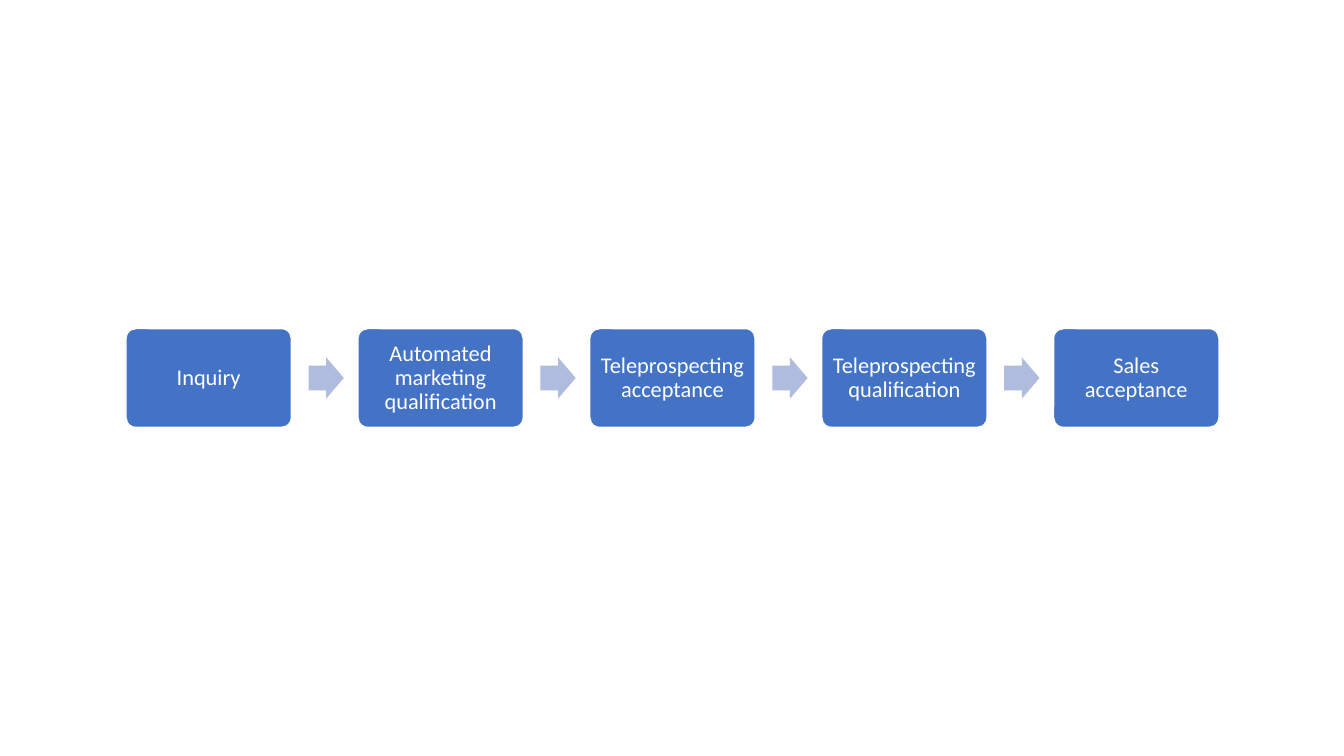
"""Build a slide with a five-step lead qualification process."""
from pptx import Presentation
from pptx.dml.color import RGBColor
from pptx.enum.shapes import MSO_SHAPE
from pptx.enum.text import MSO_ANCHOR, PP_ALIGN
from pptx.util import Inches, Pt

BLUE = RGBColor(0x44, 0x72, 0xC4)
PALE_BLUE = RGBColor(0xB0, 0xBC, 0xDE)
WHITE = RGBColor(0xFF, 0xFF, 0xFF)

STEPS = [
    "Inquiry",
    "Automated marketing qualification",
    "Teleprospecting acceptance",
    "Teleprospecting qualification",
    "Sales acceptance",
]
FIRST_LEFT, STEP_PITCH, MIDDLE = 1.25, 2.3, 3.75
BOX_WIDTH, BOX_HEIGHT = 1.64, 0.98
ARROW_WIDTH, ARROW_HEIGHT, ARROW_OFFSET = 0.35, 0.41, 1.81
INSET = 0.06


def add_filled_shape(slide, kind, left, width, height, color):
    """Add a flat filled shape centred on the process row."""
    shape = slide.shapes.add_shape(
        kind, Inches(left), Inches(MIDDLE - height / 2), Inches(width), Inches(height)
    )
    shape.shadow.inherit = False
    shape.fill.solid()
    shape.fill.fore_color.rgb = color
    return shape


def add_step(slide, left, label):
    """Add a rounded box holding one step label."""
    box = add_filled_shape(
        slide, MSO_SHAPE.ROUNDED_RECTANGLE, left, BOX_WIDTH, BOX_HEIGHT, BLUE
    )
    box.adjustments[0] = 0.1
    box.line.color.rgb = WHITE
    box.line.width = Pt(1)
    frame = box.text_frame
    frame.word_wrap = True
    frame.vertical_anchor = MSO_ANCHOR.MIDDLE
    frame.margin_left = frame.margin_right = Inches(INSET)
    frame.margin_top = frame.margin_bottom = Inches(INSET)
    paragraph = frame.paragraphs[0]
    paragraph.alignment = PP_ALIGN.CENTER
    paragraph.line_spacing = 0.9
    run = paragraph.add_run()
    run.text = label
    run.font.name = "Calibri"
    run.font.size = Pt(16)
    run.font.color.rgb = WHITE


def add_arrow(slide, left):
    """Add a pale arrow leading to the next step."""
    arrow = add_filled_shape(
        slide, MSO_SHAPE.RIGHT_ARROW, left, ARROW_WIDTH, ARROW_HEIGHT, PALE_BLUE
    )
    arrow.adjustments[0] = 0.6
    arrow.adjustments[1] = 0.5
    arrow.line.fill.background()


def main():
    """Lay out the steps and arrows and save the slide."""
    presentation = Presentation()
    presentation.slide_width = Inches(13.33)
    presentation.slide_height = Inches(7.5)
    slide = presentation.slides.add_slide(presentation.slide_layouts[6])
    for index, label in enumerate(STEPS):
        left = FIRST_LEFT + index * STEP_PITCH
        add_step(slide, left, label)
        if index < len(STEPS) - 1:
            add_arrow(slide, left + ARROW_OFFSET)
    presentation.save("out.pptx")


if __name__ == "__main__":
    main()
